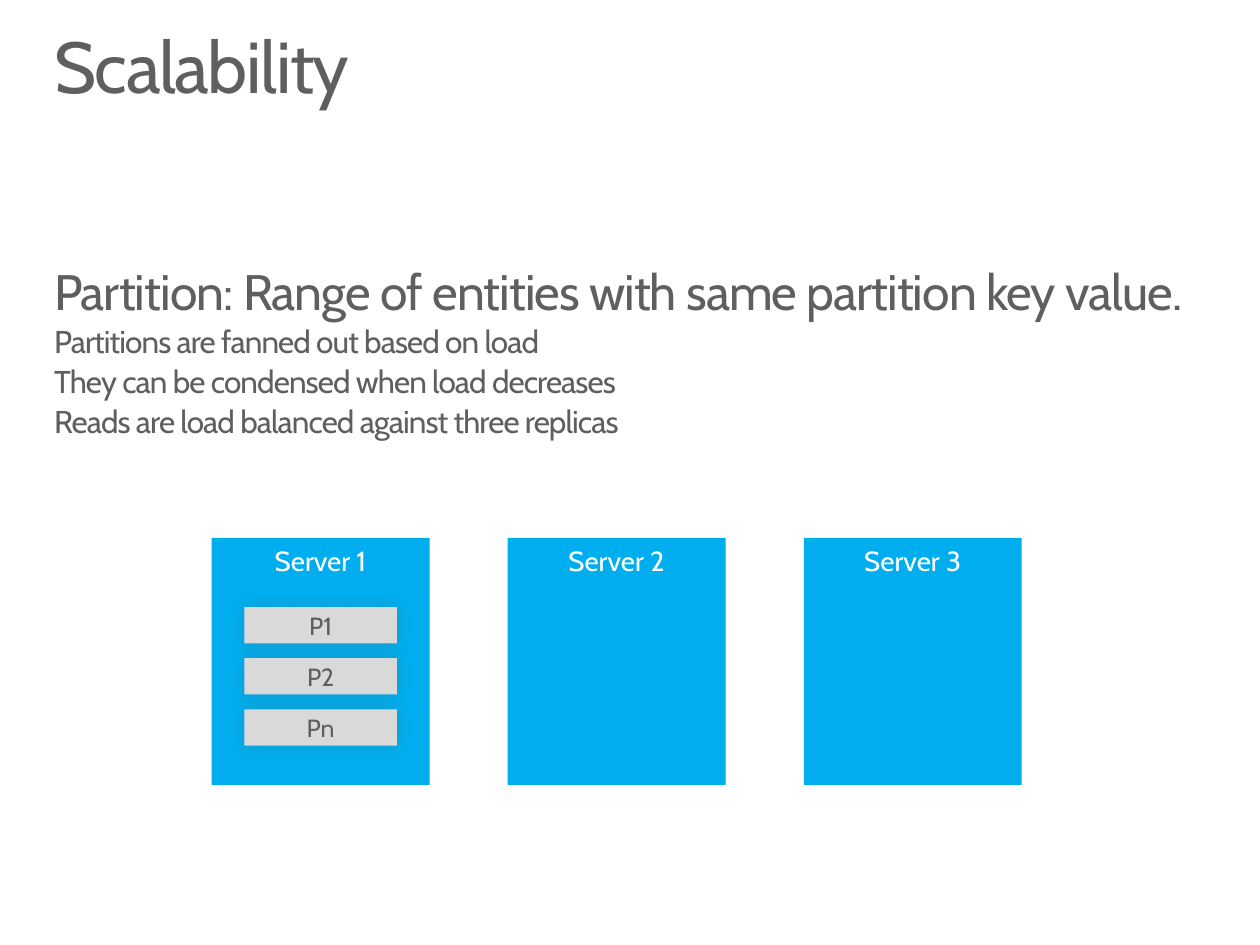
from dataclasses import dataclass

import pptx
import pptx.dml.color
import pptx.enum.shapes
import pptx.enum.text
import pptx.oxml
import pptx.oxml.ns
import pptx.util


@dataclass(frozen=True)
class Theme:
    font: str = "Cabin"
    ink: str = "5F5F5F"
    server: str = "00AEEF"
    partition: str = "D9D9D9"
    light: str = "FFFFFF"
    title_size: float = 41.2
    lead_size: float = 28.5
    detail_size: float = 18
    server_size: float = 15.8
    partition_size: float = 14.2


@dataclass(frozen=True)
class Box:
    left: float
    top: float
    width: float
    height: float

    def inner(self, left, top, width, height):
        return Box(
            self.left + left * self.width,
            self.top + top * self.height,
            width * self.width,
            height * self.height,
        )

    def lengths(self):
        return [pptx.util.Inches(value) for value in (self.left, self.top, self.width, self.height)]


THEME = Theme()
PAGE = Box(0, 0, 10, 7.5)
ALIGN = pptx.enum.text.PP_ALIGN
ANCHOR = pptx.enum.text.MSO_ANCHOR


def color(value):
    return pptx.dml.color.RGBColor.from_string(value)


def format_paragraph(paragraph, size, ink, align, tracking=0):
    paragraph.alignment = align
    for run in paragraph.runs:
        run.font.name = THEME.font
        run.font.size = pptx.util.Pt(size)
        run.font.bold = False
        run.font.color.rgb = color(ink)
        if tracking:
            run._r.get_or_add_rPr().set("spc", str(round(tracking * 100)))


def prepare_text(shape):
    frame = shape.text_frame
    frame.word_wrap = True
    frame.auto_size = pptx.enum.text.MSO_AUTO_SIZE.SHAPE_TO_FIT_TEXT
    frame.vertical_anchor = ANCHOR.TOP
    frame.margin_left = frame.margin_right = frame.margin_top = frame.margin_bottom = 0
    return frame


def add_title(slide, box, text):
    title = slide.shapes.title
    title.left, title.top, title.width, title.height = box.lengths()
    frame = prepare_text(title)
    frame.text = text
    paragraph = frame.paragraphs[0]
    paragraph.line_spacing = 0.9
    paragraph.space_before = pptx.util.Pt(0)
    format_paragraph(paragraph, THEME.title_size, THEME.ink, ALIGN.LEFT, -0.8)


def add_description(slide, box, lines):
    frame = prepare_text(slide.shapes.add_textbox(*box.lengths()))
    frame.text = "\n".join(lines)
    for index, paragraph in enumerate(frame.paragraphs):
        paragraph.line_spacing = 0.9
        paragraph.space_before = pptx.util.Pt(3.2 if index else 0)
        size = THEME.detail_size if index else THEME.lead_size
        format_paragraph(paragraph, size, THEME.ink, ALIGN.LEFT, -0.5)


def add_block(slide, box, text, fill, ink, size, anchor):
    block = slide.shapes.add_shape(pptx.enum.shapes.MSO_SHAPE.RECTANGLE, *box.lengths())
    block.shadow.inherit = False
    block.fill.solid()
    block.fill.fore_color.rgb = color(fill)
    block.line.fill.background()
    block.text_frame.text = text
    block.text_frame.word_wrap = True
    block.text_frame.vertical_anchor = anchor
    format_paragraph(block.text_frame.paragraphs[0], size, ink, ALIGN.CENTER)
    return block


def add_glow_shadow(shape):
    effects = shape._element.spPr.find(pptx.oxml.ns.qn("a:effectLst"))
    effects.append(pptx.oxml.parse_xml(
        f'<a:outerShdw {pptx.oxml.ns.nsdecls("a")} blurRad="{pptx.util.Pt(10)}" dist="0" '
        f'algn="ctr" rotWithShape="0"><a:srgbClr val="{THEME.ink}">'
        '<a:alpha val="26000"/></a:srgbClr></a:outerShdw>'
    ))


def add_server(slide, box, name, partitions):
    add_block(slide, box, name, THEME.server, THEME.light, THEME.server_size, ANCHOR.TOP)
    for row, partition in enumerate(partitions):
        cell = box.inner(0.15, 0.28 + row * 0.207, 0.7, 0.147)
        block = add_block(slide, cell, partition, THEME.partition, THEME.ink,
                          THEME.partition_size, ANCHOR.MIDDLE)
        add_glow_shadow(block)


def add_servers(slide, box, servers):
    width = 1.73 / box.width
    pitch = (1 - width) / (len(servers) - 1)
    for column, (name, partitions) in enumerate(servers.items()):
        add_server(slide, box.inner(column * pitch, 0, width, 1), name, partitions)


def main():
    presentation = pptx.Presentation()
    presentation.slide_width = pptx.util.Inches(PAGE.width)
    presentation.slide_height = pptx.util.Inches(PAGE.height)
    slide = presentation.slides.add_slide(presentation.slide_layouts.get_by_name("Title Only"))
    add_title(slide, Box(0.43, 0.25, 9.15, 0.62), "Scalability")
    add_description(slide, Box(0.43, 2.12, 9.14, 1.43), [
        "Partition: Range of entities with same partition key value.",
        "Partitions are fanned out based on load",
        "They can be condensed when load decreases",
        "Reads are load balanced against three replicas",
    ])
    add_servers(slide, Box(1.68, 4.27, 6.43, 1.96), {
        "Server 1": ["P1", "P2", "Pn"],
        "Server 2": [],
        "Server 3": [],
    })
    presentation.save("out.pptx")


if __name__ == "__main__":
    main()
